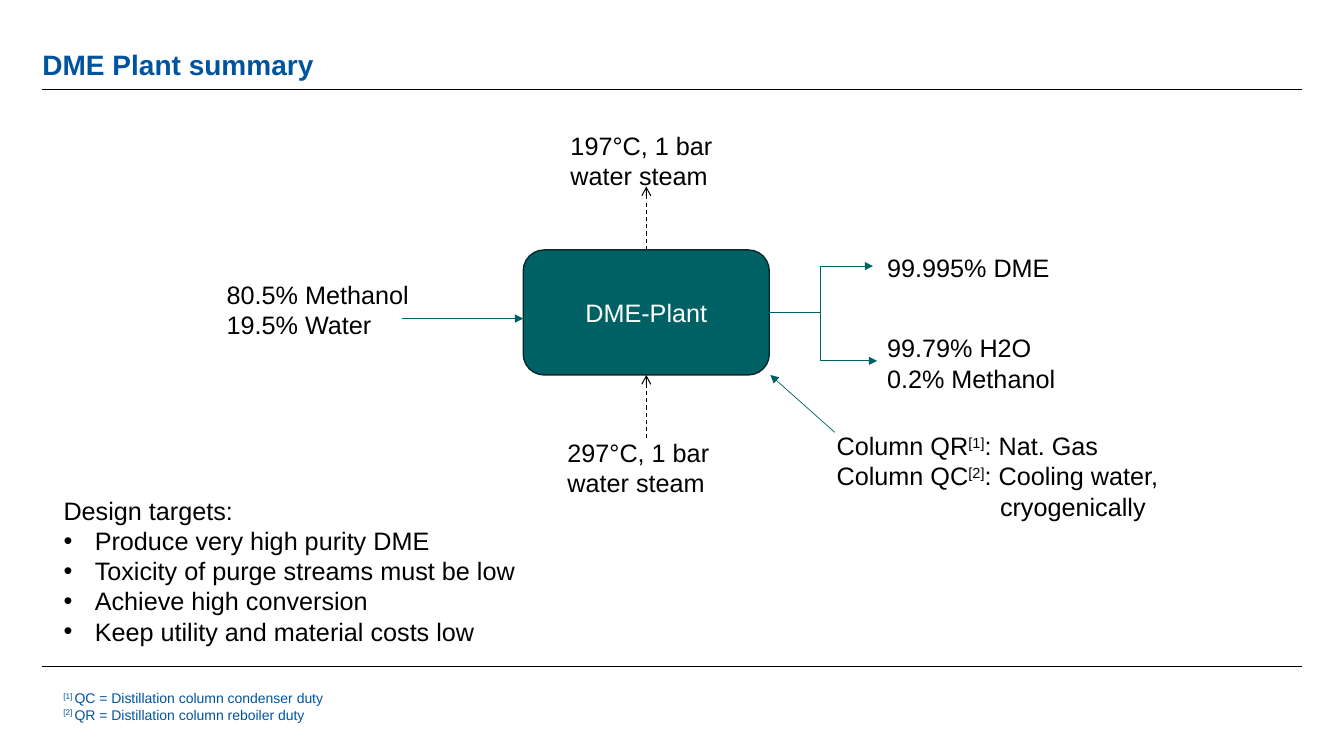
from lxml import etree
from pptx import Presentation
from pptx.dml.color import RGBColor
from pptx.enum.dml import MSO_LINE_DASH_STYLE as Dash
from pptx.enum.shapes import MSO_CONNECTOR_TYPE as Link, MSO_SHAPE as Preset
from pptx.enum.text import MSO_ANCHOR as Anchor, MSO_AUTO_SIZE as AutoSize, PP_ALIGN as Align
from pptx.oxml.ns import qn
from pptx.util import Inches, Pt

BLACK = RGBColor(0x00, 0x00, 0x00)
WHITE = RGBColor(0xFF, 0xFF, 0xFF)
BLUE = RGBColor(0x00, 0x54, 0x9F)
TEAL = RGBColor(0x00, 0x61, 0x65)
DARK_TEAL = RGBColor(0x00, 0x2B, 0x2C)

# Content: text between carets is superscript
TITLE = "DME Plant summary"
TARGETS_HEADING = "Design targets:"
TARGETS = [
    "Produce very high purity DME",
    "Toxicity of purge streams must be low",
    "Achieve high conversion",
    "Keep utility and material costs low",
]
FOOTNOTES = [
    "^[1] ^QC = Distillation column condenser duty",
    "^[2] ^QR = Distillation column reboiler duty",
]
UTILITIES = [
    "Column QR^[1]^: Nat. Gas",
    "Column QC^[2]^: Cooling water,",
    "cryogenically",
]
STREAMS = [  # box, lines
    ((2.15, 2.72, 2.1, 0.95), ["80.5% Methanol", "19.5% Water"]),
    ((8.7, 3.25, 2.44, 1.01), ["99.79% H2O", "0.2% Methanol"]),
    ((8.7, 2.45, 1.9, 0.71), ["99.995% DME"]),
    ((5.53, 4.29, 2.1, 0.71), ["297°C, 1 bar water steam"]),
    ((5.56, 1.24, 1.69, 1.01), ["197°C, 1 bar", "water steam"]),
]

# Layout
RULES = [0.89, 6.61]
MARGIN, RIGHT = 0.42, 12.91
PLANT = (5.19, 2.48, 2.44, 1.24)
PLANT_LEFT, PLANT_TOP, PLANT_WIDTH, PLANT_HEIGHT = PLANT
PLANT_RIGHT, PLANT_BOTTOM = PLANT_LEFT + PLANT_WIDTH, PLANT_TOP + PLANT_HEIGHT
PLANT_CENTRE = PLANT_LEFT + PLANT_WIDTH / 2
PLANT_MIDDLE = PLANT_TOP + PLANT_HEIGHT / 2
STEAM_LENGTH = 0.63
SPLIT = 8.14
PRODUCTS = [(8.7, 3.58), (8.66, 2.64)]
BULLET_INDENT = 0.31

deck = Presentation()
deck.slide_width, deck.slide_height = Inches(13.33), Inches(7.5)
page = deck.slides.add_slide(deck.slide_layouts[1])


def place(shape, box):
    names = ("left", "top", "width", "height")
    for name, value in zip(names, box):
        setattr(shape, name, Inches(value))


def write(shape, lines, size=18, color=BLACK, bold=False, align=Align.LEFT,
          anchor=Anchor.TOP):
    frame = shape.text_frame
    settings = {"word_wrap": True, "auto_size": AutoSize.NONE, "vertical_anchor": anchor}
    for name, value in settings.items():
        setattr(frame, name, value)
    for index, line in enumerate(lines):
        para = frame.paragraphs[0] if index == 0 else frame.add_paragraph()
        para.alignment, para.space_before = align, Pt(0)
        for order, part in enumerate(line.split("^")):
            if not part:
                continue
            span = para.add_run()
            span.text = part
            font = {"name": "Arial", "size": Pt(size), "bold": bold}
            for name, value in font.items():
                setattr(span.font, name, value)
            span.font.color.rgb = color
            if order % 2:
                span._r.get_or_add_rPr().set("baseline", "30000")
    return frame


def add_text(box, lines, **style):
    shape = page.shapes.add_textbox(*map(Inches, box))
    return write(shape, lines, **style)


def indent(para, left, first=0, bullet=None):
    properties = para._p.get_or_add_pPr()
    properties.set("marL", str(Inches(left)))
    properties.set("indent", str(Inches(first)))
    if bullet:
        font = etree.SubElement(properties, qn("a:buFont"))
        font.set("typeface", "Arial")
        etree.SubElement(properties, qn("a:buChar")).set("char", bullet)
    else:
        etree.SubElement(properties, qn("a:buNone"))


def add_line(start, end, color=TEAL, width=0.5, head=None, dash=None, bend=None):
    kind = Link.STRAIGHT if bend is None else Link.ELBOW
    link = page.shapes.add_connector(kind, *map(Inches, start + end))
    link.line.color.rgb, link.line.width = color, Pt(width)
    if dash:
        link.line.dash_style = dash
    properties = link._element.spPr
    if head:
        tail = etree.SubElement(link.line._get_or_add_ln(), qn("a:tailEnd"))
        tail.set("type", head)
    if bend is not None:
        ratio = (bend - start[0]) / (end[0] - start[0])
        guide = etree.SubElement(properties.find(".//" + qn("a:avLst")), qn("a:gd"))
        guide.set("name", "adj1")
        guide.set("fmla", f"val {round(ratio * 100000)}")
    etree.SubElement(properties, qn("a:effectLst"))


# Title and page rules
for height in RULES:
    add_line((MARGIN, height), (RIGHT, height), color=BLACK)
title = page.shapes.title
place(title, (MARGIN, 0.22, RIGHT - MARGIN, 0.59))
frame = write(title, [TITLE], size=20, color=BLUE, bold=True, anchor=Anchor.BOTTOM)
for side in ("left", "top", "right", "bottom"):
    setattr(frame, f"margin_{side}", 0)
frame.paragraphs[0].line_spacing = 0.9

# Plant
plant = page.shapes.add_shape(Preset.ROUNDED_RECTANGLE, *map(Inches, PLANT))
plant.shadow.inherit = False
plant.fill.solid()
plant.fill.fore_color.rgb = TEAL
plant.line.color.rgb, plant.line.width = DARK_TEAL, Pt(1)
write(plant, ["DME-Plant"], color=WHITE, align=Align.CENTER, anchor=Anchor.MIDDLE)

# Feed, products, steam and utility arrows
add_line((3.99, 3.16), (PLANT_LEFT, 3.16), head="triangle")
for product in PRODUCTS:
    add_line((PLANT_RIGHT, PLANT_MIDDLE), product, head="triangle", bend=SPLIT)
for start in (PLANT_TOP, PLANT_BOTTOM + STEAM_LENGTH):
    add_line((PLANT_CENTRE, start), (PLANT_CENTRE, start - STEAM_LENGTH),
             color=BLACK, width=0.75, head="arrow", dash=Dash.DASH)
add_line((8.28, 4.29), (7.64, PLANT_BOTTOM), head="triangle")

# Stream labels
for box, lines in STREAMS:
    add_text(box, lines)
utilities = add_text((8.2, 4.22, 3.45, 1.01), UTILITIES)
indent(utilities.paragraphs[-1], 1.62)

# Design targets
targets = page.placeholders[1]
place(targets, (0.53, 4.86, 5.02, 1.62))
heading, *goals = write(targets, [TARGETS_HEADING] + TARGETS).paragraphs
indent(heading, 0)
for goal in goals:
    indent(goal, BULLET_INDENT, -BULLET_INDENT, "•")

# Footnotes
add_text((0.53, 6.79, 4.73, 0.44), FOOTNOTES, size=10, color=BLUE)

deck.save("out.pptx")
